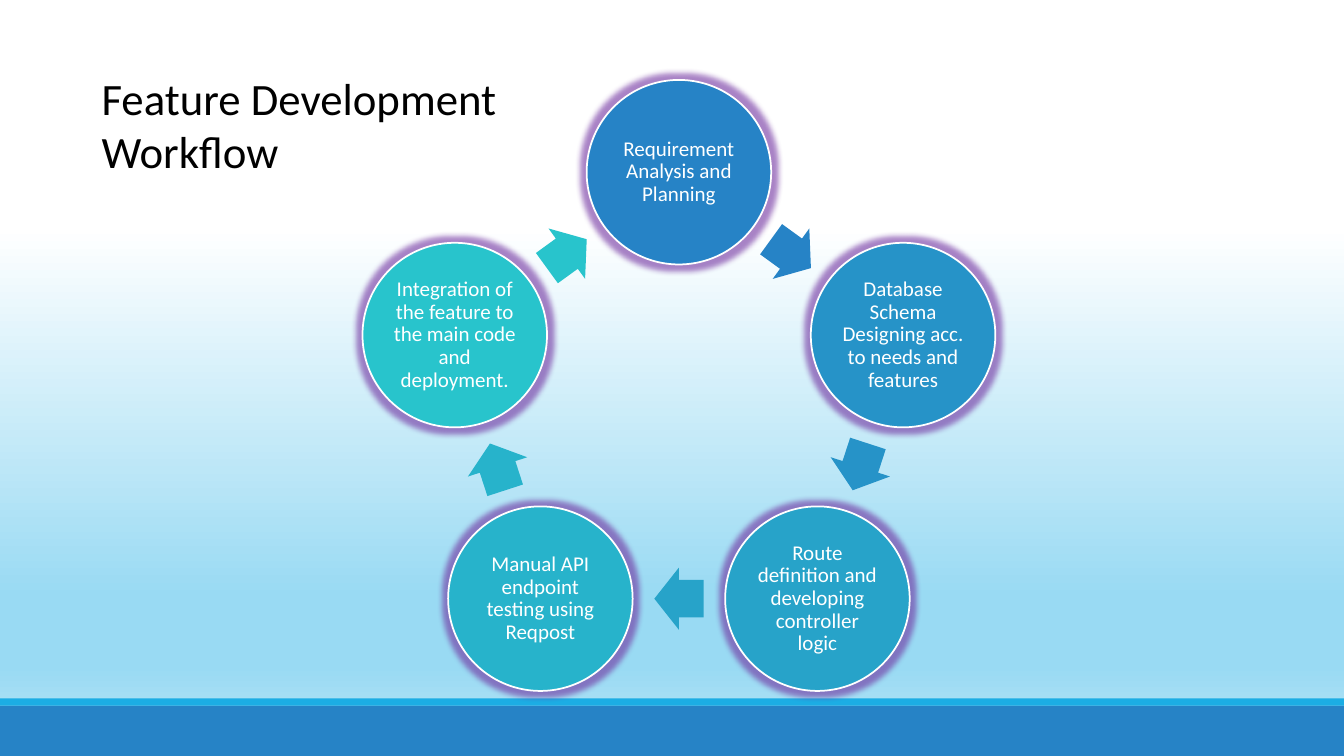
import math

from lxml import etree
from pptx import Presentation
from pptx import util as u
from pptx.dml import color
from pptx.enum import shapes, text
from pptx.oxml import ns

COLORS = {
    "text": "000000",
    "white": "FFFFFF",
    "glow": "7030A0",
    "footer": "2683C6",
    "stripe": "1CADE4",
}
BACKGROUND_STOPS = [(30, "FFFFFF"), (79, "99DAF3"), (88, "99DAF3"), (100, "BBE6F7")]
STEPS = [
    ("Requirement Analysis and Planning", "2683C6"),
    ("Database Schema Designing acc. to needs and features", "2693C8"),
    ("Route definition and developing controller logic", "27A3C9"),
    ("Manual API endpoint testing using Reqpost", "27B3CB"),
    ("Integration of the feature to the main code and deployment.", "28C4CC"),
]
FONT = "Calibri"
WIDTH, HEIGHT = 33.87, 19.05
CENTER_X, CENTER_Y, RADIUS = 17.11, 10.28, 5.94
CIRCLE = 4.65
ARROW_LENGTH, ARROW_WIDTH = 1.24, 1.57


def rgb(value):
    return color.RGBColor.from_string(value)


def add_color(parent, value):
    return etree.SubElement(parent, ns.qn("a:srgbClr"), val=value)


def set_background(s):
    fill = s.background.fill
    fill.gradient()
    fill.gradient_angle = 270
    stops = s.background._cSld.find(".//" + ns.qn("a:gsLst"))
    for stop in list(stops):
        stops.remove(stop)
    for position, value in BACKGROUND_STOPS:
        stop = etree.SubElement(stops, ns.qn("a:gs"), pos=str(position * 1000))
        add_color(stop, value)


def add_shape(s, kind, left, top, width, height, fill):
    sp = s.shapes.add_shape(kind, u.Cm(left), u.Cm(top), u.Cm(width), u.Cm(height))
    sp.shadow.inherit = False
    sp.fill.solid()
    sp.fill.fore_color.rgb = rgb(fill)
    sp.line.fill.background()
    return sp


def add_glow(sp):
    effects = sp._element.spPr.find(ns.qn("a:effectLst"))
    glow = etree.SubElement(effects, ns.qn("a:glow"), rad=str(u.Pt(8)))
    etree.SubElement(add_color(glow, COLORS["glow"]), ns.qn("a:alpha"), val="60000")


def set_text(tf, content, size, value):
    tf.text = content
    tf.word_wrap = True
    p = tf.paragraphs[0]
    font = p.runs[0].font
    font.name = FONT
    font.size = u.Pt(size)
    font.color.rgb = rgb(value)
    return p


def add_title(s, content):
    sp = s.shapes.add_textbox(u.Cm(2.31), u.Cm(1.65), u.Cm(12.29), u.Cm(3))
    set_text(sp.text_frame, content, 32, COLORS["text"])
    sp.text_frame.auto_size = text.MSO_AUTO_SIZE.SHAPE_TO_FIT_TEXT


def ring_point(degrees, radius):
    angle = math.radians(degrees)
    return CENTER_X + radius * math.sin(angle), CENTER_Y - radius * math.cos(angle)


def add_step(s, degrees, content, fill):
    x, y = ring_point(degrees, RADIUS)
    sp = add_shape(s, shapes.MSO_SHAPE.OVAL, x - CIRCLE / 2, y - CIRCLE / 2,
                   CIRCLE, CIRCLE, fill)
    sp.line.color.rgb = rgb(COLORS["white"])
    sp.line.width = u.Pt(1.25)
    add_glow(sp)
    tf = sp.text_frame
    tf.margin_left = tf.margin_right = tf.margin_top = tf.margin_bottom = u.Cm(0.05)
    tf.vertical_anchor = text.MSO_ANCHOR.MIDDLE
    p = set_text(tf, content, 15, COLORS["white"])
    p.alignment = text.PP_ALIGN.CENTER
    p.line_spacing = 0.9


def add_arrow(s, degrees, radius, fill):
    x, y = ring_point(degrees, radius)
    sp = add_shape(s, shapes.MSO_SHAPE.RIGHT_ARROW, x - ARROW_LENGTH / 2,
                   y - ARROW_WIDTH / 2, ARROW_LENGTH, ARROW_WIDTH, fill)
    sp.adjustments[0] = 0.6
    sp.adjustments[1] = 0.5
    sp.rotation = degrees


def add_cycle(s):
    turn = 360 / len(STEPS)
    arrow_radius = RADIUS * math.cos(math.radians(turn / 2))
    for i, (content, fill) in enumerate(STEPS):
        add_step(s, i * turn, content, fill)
        add_arrow(s, (i + 0.5) * turn, arrow_radius, fill)


def main():
    prs = Presentation()
    prs.slide_width, prs.slide_height = u.Cm(WIDTH), u.Cm(HEIGHT)
    s = prs.slides.add_slide(prs.slide_layouts[6])
    set_background(s)
    add_shape(s, shapes.MSO_SHAPE.RECTANGLE, 0, 17.78, WIDTH, 1.27, COLORS["footer"])
    add_shape(s, shapes.MSO_SHAPE.RECTANGLE, 0, 17.6, WIDTH, 0.18, COLORS["stripe"])
    add_title(s, "Feature Development Workflow")
    add_cycle(s)
    prs.save("out.pptx")


if __name__ == "__main__":
    main()
